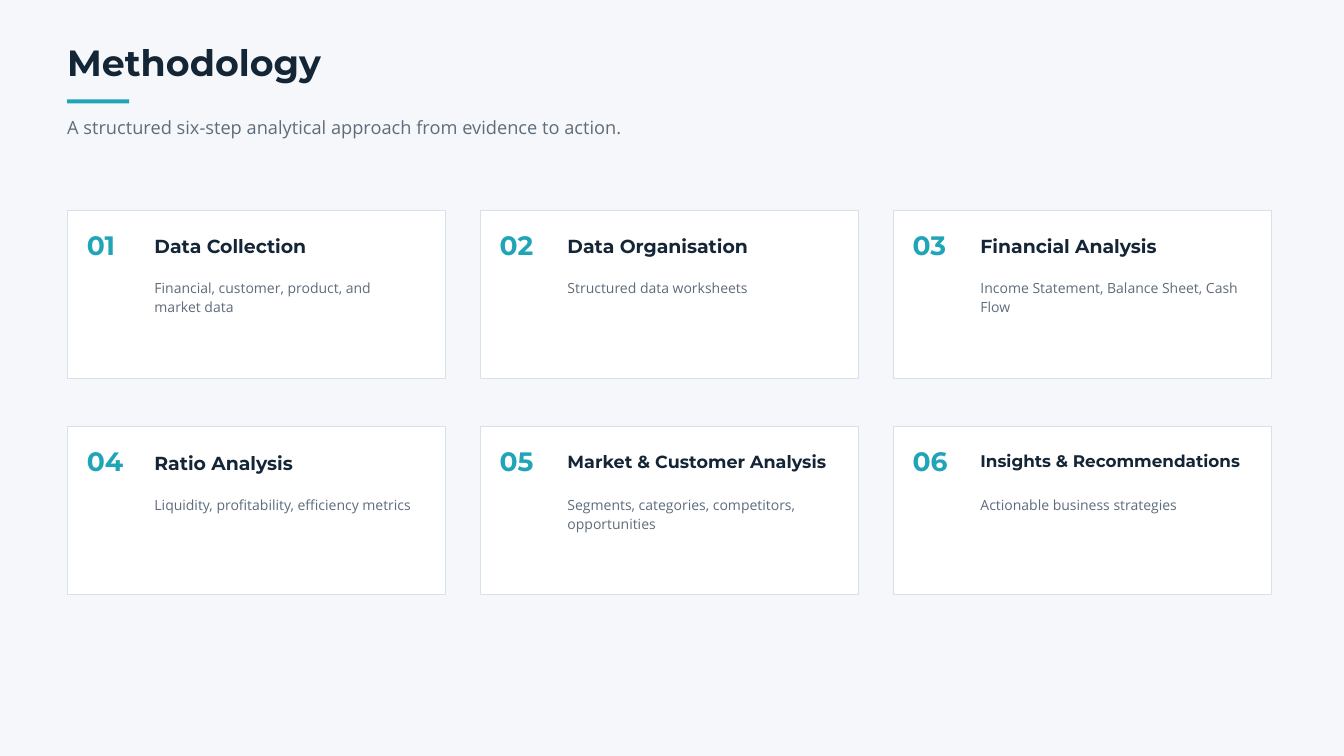
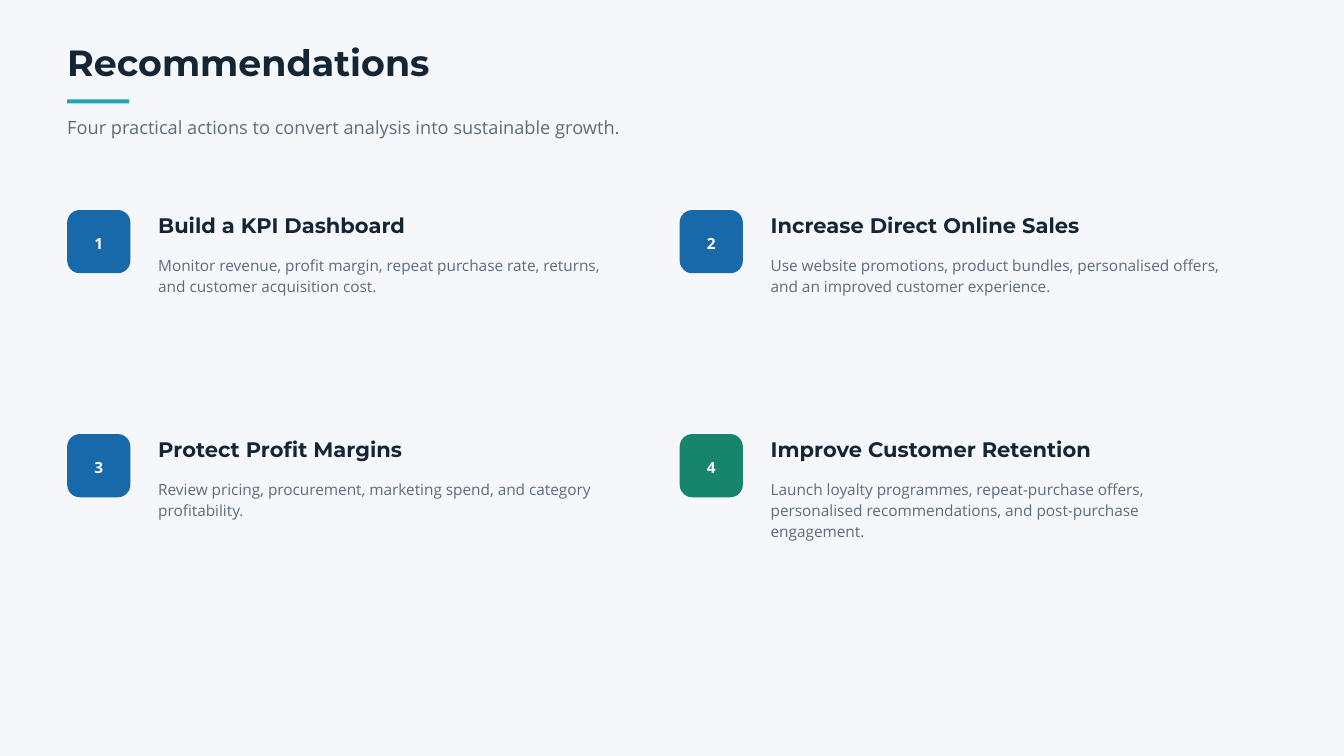
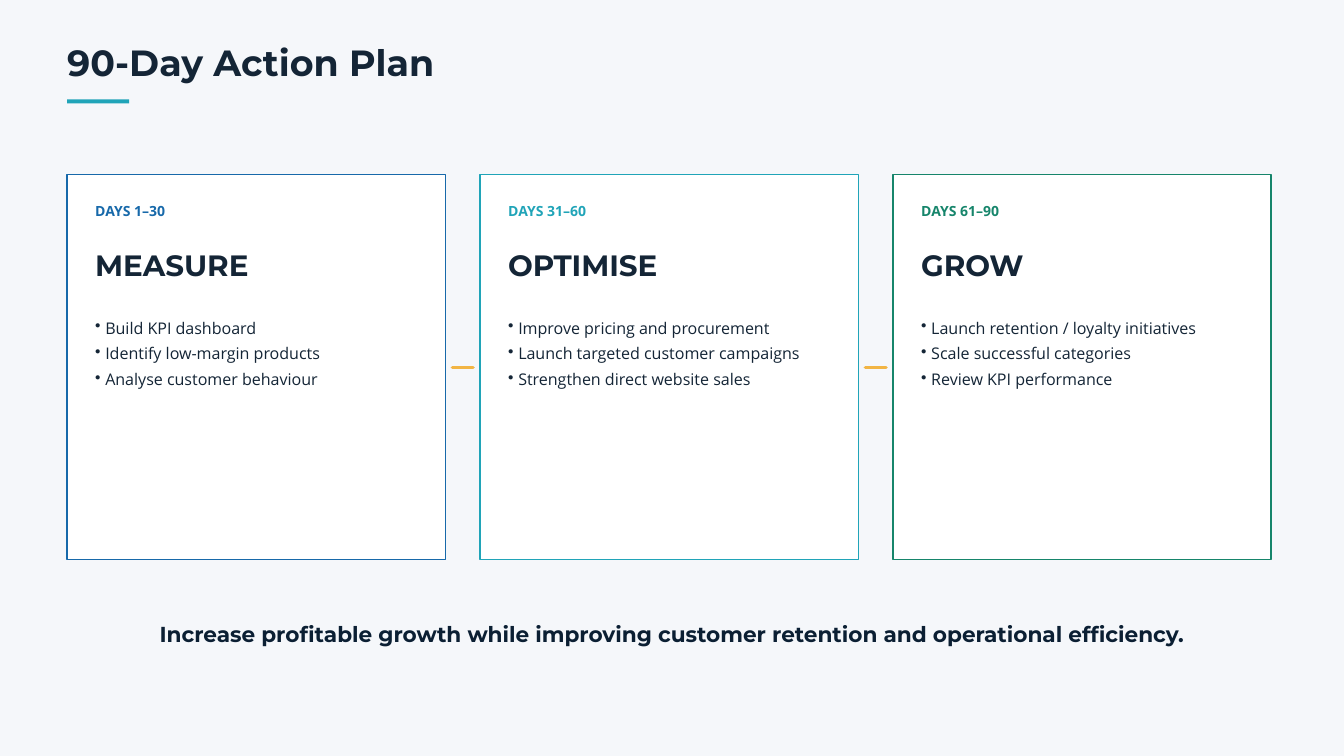
"""Build three slides: methodology, recommendations and a 90-day plan."""
from lxml import etree
from pptx import Presentation
from pptx import util as u
from pptx.dml.color import RGBColor
from pptx.enum import shapes, text
from pptx.oxml.ns import qn

INK, GREY, TEAL, BLUE, GREEN = "142536", "5E6C7B", "20A4B8", "1769AA", "16856B"
NAVY, PAPER, WHITE, EDGE, GOLD = "0B1F33", "F5F7FA", "FFFFFF", "D9E1E8", "F2B544"
HEAD, BODY = "Montserrat", "Open Sans"

STYLES = {
    "title": (HEAD, 39, 42.9, INK, True),
    "lead": (BODY, 19.5, 26.3, GREY, False),
    "number": (HEAD, 28.5, 29.9, TEAL, True),
    "step": (HEAD, 20.2, 28.4, INK, True),
    "note": (BODY, 15, 20.2, GREY, False),
    "tile": (BODY, 16.5, 23.1, WHITE, True),
    "action": (HEAD, 22.5, 31.5, INK, True),
    "detail": (BODY, 16.5, 22.3, GREY, False),
    "days": (BODY, 15, 18, BLUE, True),
    "phase": (HEAD, 31.5, 44.1, INK, True),
    "task": (BODY, 17.2, 27.6, INK, False),
    "goal": (HEAD, 23.2, 32.5, NAVY, True),
}

STEPS = [
    ("Data Collection", "Financial, customer, product, and market data", 20.2),
    ("Data Organisation", "Structured data worksheets", 20.2),
    ("Financial Analysis", "Income Statement, Balance Sheet, Cash Flow", 20.2),
    ("Ratio Analysis", "Liquidity, profitability, efficiency metrics", 20.2),
    ("Market & Customer Analysis",
     "Segments, categories, competitors, opportunities", 18.8),
    ("Insights & Recommendations", "Actionable business strategies", 18),
]
ACTIONS = [
    ("Build a KPI Dashboard", "Monitor revenue, profit margin, repeat purchase rate, "
     "returns, and customer acquisition cost.", BLUE),
    ("Increase Direct Online Sales", "Use website promotions, product bundles, "
     "personalised offers, and an improved customer experience.", BLUE),
    ("Protect Profit Margins", "Review pricing, procurement, marketing spend, "
     "and category profitability.", BLUE),
    ("Improve Customer Retention", "Launch loyalty programmes, repeat-purchase offers, "
     "personalised recommendations, and post-purchase engagement.", GREEN),
]
PHASES = [
    ("DAYS 1–30", "MEASURE", BLUE, ["Build KPI dashboard",
     "Identify low-margin products", "Analyse customer behaviour"]),
    ("DAYS 31–60", "OPTIMISE", TEAL, ["Improve pricing and procurement",
     "Launch targeted customer campaigns", "Strengthen direct website sales"]),
    ("DAYS 61–90", "GROW", GREEN, ["Launch retention / loyalty initiatives",
     "Scale successful categories", "Review KPI performance"]),
]
GOAL = ("Increase profitable growth while improving customer retention "
        "and operational efficiency.")

LEFT, TOP = 2.54, 7.94
CARD, PITCH = 14.29, 15.61


def rgb(code):
    """Turn a hex string into a colour."""
    return RGBColor.from_string(code)


def bullet(para):
    """Give a paragraph a hanging round bullet."""
    props = para._p.get_or_add_pPr()
    props.set("marL", str(u.Cm(0.38)))
    props.set("indent", str(-u.Cm(0.38)))
    etree.SubElement(props, qn("a:buChar")).set("char", "•")


def write(frame, lines, style, size=None, color=None, center=False, dots=False):
    """Fill a text frame with lines in one named style."""
    name, points, space, shade, bold = STYLES[style]
    ratio = (size or points) / points
    look = {"name": name, "size": u.Pt(points * ratio), "bold": bold}
    frame.word_wrap = True
    for i, line in enumerate(lines):
        para = frame.paragraphs[0] if i == 0 else frame.add_paragraph()
        para.line_spacing = u.Pt(round(space * ratio, 1))
        para.alignment = text.PP_ALIGN.CENTER if center else text.PP_ALIGN.LEFT
        if dots:
            bullet(para)
        run = para.add_run()
        run.text = line
        for key, value in look.items():
            setattr(run.font, key, value)
        run.font.color.rgb = rgb(color or shade)


def label(slide, x, y, w, h, lines, style, **more):
    """Add a text box without insets, growing with its text."""
    frame = slide.shapes.add_textbox(*map(u.Cm, (x, y, w, h))).text_frame
    for side in ("left", "top", "right", "bottom"):
        setattr(frame, "margin_" + side, 0)
    write(frame, lines, style, **more)
    frame.auto_size = text.MSO_AUTO_SIZE.SHAPE_TO_FIT_TEXT


def block(slide, x, y, w, h, fill, edge=None, width=0.75, kind="RECTANGLE"):
    """Add a filled shape with an optional outline."""
    shape = slide.shapes.add_shape(shapes.MSO_SHAPE[kind], *map(u.Cm, (x, y, w, h)))
    shape.shadow.inherit = False
    shape.fill.solid()
    shape.fill.fore_color.rgb = rgb(fill)
    if edge:
        shape.line.color.rgb = rgb(edge)
        shape.line.width = u.Pt(width)
    else:
        shape.line.fill.background()
    return shape


def dash(slide, x, y, w):
    """Add a short round-ended line between two cards."""
    line = slide.shapes.add_connector(
        shapes.MSO_CONNECTOR.STRAIGHT, *map(u.Cm, (x, y, x + w, y)))
    line.line.color.rgb = rgb(GOLD)
    line.line.width = u.Pt(3.75)
    line.line._get_or_add_ln().set("cap", "rnd")
    etree.SubElement(line._element.spPr, qn("a:effectLst"))


def start(deck, title, lead=None):
    """Add a slide with its title, accent bar and lead line."""
    slide = deck.slides.add_slide(deck.slide_layouts[6])
    label(slide, LEFT, 1.65, 45.72, 1.55, [title], "title")
    block(slide, LEFT, 3.76, 2.34, 0.15, TEAL)
    if lead:
        label(slide, LEFT, 4.29, 39.67, 0.94, [lead], "lead")
    return slide


def method(deck):
    """Lay out the six steps in a grid of three columns."""
    slide = start(deck, "Methodology",
                  "A structured six-step analytical approach from evidence to action.")
    for i, (name, note, size) in enumerate(STEPS):
        x, y = LEFT + i % 3 * PITCH, TOP + i // 3 * 8.19
        block(slide, x, y, CARD, 6.35, WHITE, EDGE)
        label(slide, x + 0.74, y + 0.85, 2.39, 1.09, [f"{i + 1:02}"], "number")
        label(slide, x + 3.3, y + 0.78, 9.93, 0.91, [name], "step", size=size)
        label(slide, x + 3.3, y + 2.56, 9.78, 1.4, [note], "note")


def advise(deck):
    """Lay out the four actions in a grid of two columns."""
    slide = start(deck, "Recommendations",
                  "Four practical actions to convert analysis into sustainable growth.")
    for i, (name, note, color) in enumerate(ACTIONS):
        x, y = LEFT + i % 2 * 23.15, TOP + i // 2 * 8.47
        tile = block(slide, x, y, 2.39, 2.39, color, kind="ROUNDED_RECTANGLE")
        tile.adjustments[0] = 0.2
        tile.text_frame.vertical_anchor = text.MSO_ANCHOR.MIDDLE
        write(tile.text_frame, [str(i + 1)], "tile", center=True)
        label(slide, x + 3.44, y - 0.08, 17.2, 1.04, [name], "action")
        label(slide, x + 3.44, y + 1.67, 17.2, 1.5, [note], "detail")


def plan(deck):
    """Lay out the three phases in a row, with the goal below."""
    slide = start(deck, "90-Day Action Plan")
    y, gap = 6.6, PITCH - CARD
    for i, (days, phase, color, tasks) in enumerate(PHASES):
        x = LEFT + i * PITCH
        block(slide, x, y, CARD, 14.55, WHITE, color, 1.5)
        label(slide, x + 1.06, y + 1.07, 12.17, 0.64, [days], "days", color=color)
        label(slide, x + 1.06, y + 2.51, 12.17, 1.45, [phase], "phase")
        label(slide, x + 1.06, y + 5.18, 11.91, 2.74, tasks, "task", dots=True)
        if i < len(PHASES) - 1:
            dash(slide, x + CARD + 0.27, y + 7.29, gap - 0.54)
    label(slide, 4.76, 23.29, 41.28, 1.12, [GOAL], "goal", center=True)


def main():
    """Build and save the deck."""
    deck = Presentation()
    deck.slide_width, deck.slide_height = u.Cm(50.8), u.Cm(28.58)
    fill = deck.slide_master.background.fill
    fill.solid()
    fill.fore_color.rgb = rgb(PAPER)
    for build in (method, advise, plan):
        build(deck)
    deck.save("out.pptx")


if __name__ == "__main__":
    main()
